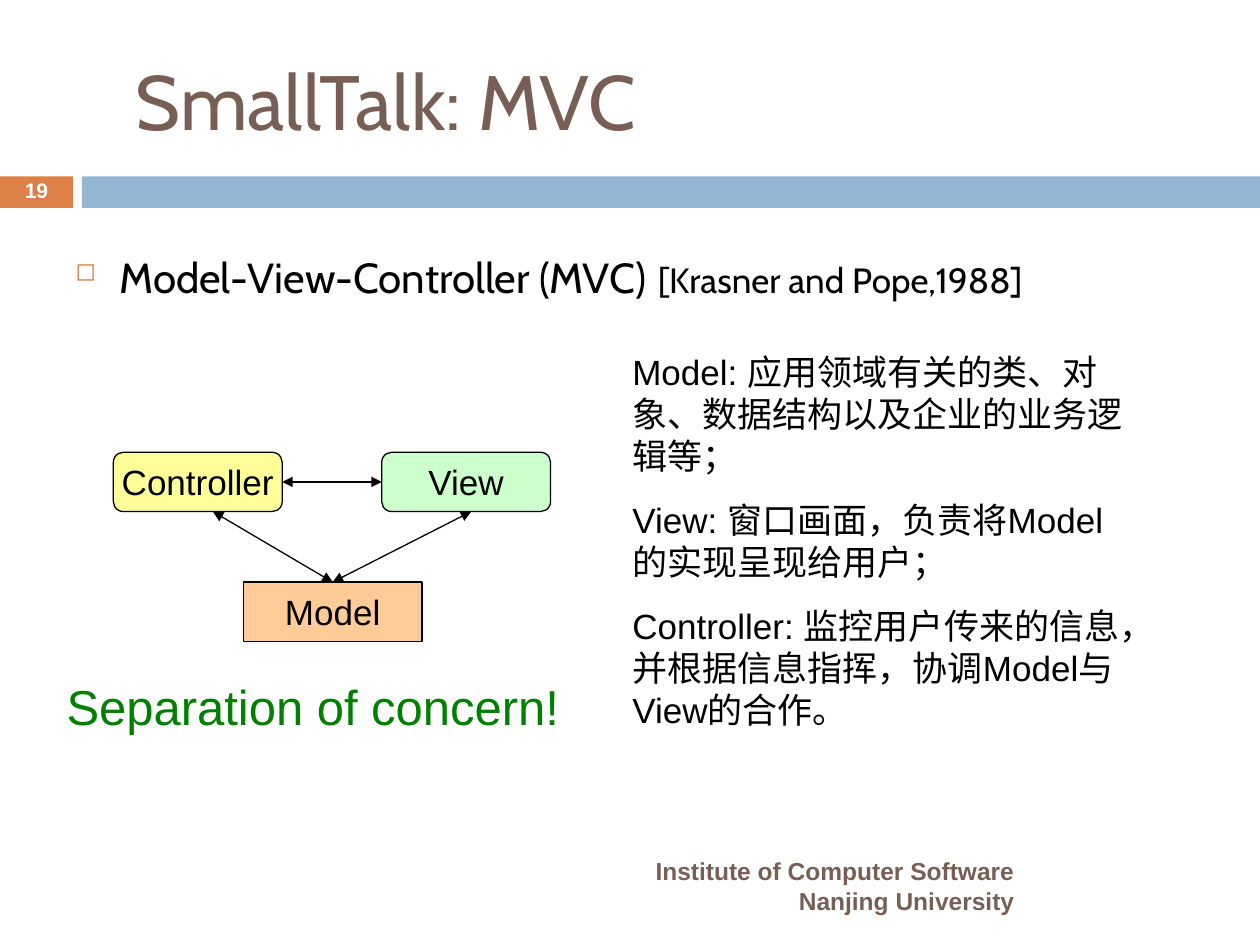
from lxml import etree
from pptx import Presentation
from pptx.dml.color import RGBColor
from pptx.enum.shapes import MSO_CONNECTOR, MSO_SHAPE
from pptx.enum.text import MSO_ANCHOR, PP_ALIGN
from pptx.oxml.ns import qn
from pptx.util import Inches, Pt

RECT, ROUNDED = MSO_SHAPE.RECTANGLE, MSO_SHAPE.ROUNDED_RECTANGLE
STRAIGHT = MSO_CONNECTOR.STRAIGHT
TOP, MIDDLE = MSO_ANCHOR.TOP, MSO_ANCHOR.MIDDLE
LEFT, CENTER, RIGHT = PP_ALIGN.LEFT, PP_ALIGN.CENTER, PP_ALIGN.RIGHT

COLORS = {
    "orange": "DD8047", "blue": "94B6D2", "brown": "775F55",
    "black": "000000", "white": "FFFFFF", "green": "008000",
    "controller": "FFFF99", "view": "CCFFCC", "model": "FFCC99",
}


def rgb(name):
    return RGBColor.from_string(COLORS[name])


class SlideBuilder:
    """Holds the text style and the slide being drawn."""

    heading_font, body_font = "Cabin", "Arial"
    line_width = Pt(0.75)

    def __init__(self, slide):
        self.slide = slide

    def add_run(self, p, text, size, color="black", font=None, bold=False):
        r = p.add_run()
        r.text = text
        r.font.size = Pt(size)
        r.font.name = font or self.body_font
        r.font.bold = bold
        r.font.color.rgb = rgb(color)

    def text(self, box, paragraphs, size, color="black", font=None, bold=False,
             align=LEFT, anchor=TOP, gap=0, spacing=None):
        s = self.slide.shapes.add_textbox(*map(Inches, box))
        tf = s.text_frame
        tf.word_wrap = True
        tf.vertical_anchor = anchor
        for i, line in enumerate(paragraphs):
            p = tf.add_paragraph() if i else tf.paragraphs[0]
            p.alignment = align
            if i and gap:
                p.space_before = Pt(gap)
            if spacing:
                p.line_spacing = spacing
            self.add_run(p, line, size, color, font, bold)

    def bullet(self, box, runs, indent=0.35):
        """Add one bulleted line from (text, size) runs."""
        s = self.slide.shapes.add_textbox(*map(Inches, box))
        s.text_frame.word_wrap = True
        p = s.text_frame.paragraphs[0]
        pPr = p._p.get_or_add_pPr()
        pPr.set("marL", str(Inches(indent)))
        pPr.set("indent", str(-Inches(indent)))
        color = etree.SubElement(pPr, qn("a:buClr"))
        etree.SubElement(color, qn("a:srgbClr"), val=COLORS["orange"])
        etree.SubElement(pPr, qn("a:buSzPct"), val="60000")
        etree.SubElement(pPr, qn("a:buChar"), char="◻")
        for text, size in runs:
            self.add_run(p, text, size, font=self.heading_font)

    def shape(self, kind, box, fill):
        s = self.slide.shapes.add_shape(kind, *map(Inches, box))
        s.shadow.inherit = False
        s.fill.solid()
        s.fill.fore_color.rgb = rgb(fill)
        s.line.fill.background()
        return s

    def node(self, kind, box, label, fill):
        s = self.shape(kind, box, fill)
        s.line.color.rgb = rgb("black")
        s.line.width = self.line_width
        tf = s.text_frame
        tf.word_wrap = False
        tf.vertical_anchor = MIDDLE
        p = tf.paragraphs[0]
        p.alignment = CENTER
        self.add_run(p, label, 20)

    def double_arrow(self, start, end):
        s = self.slide.shapes.add_connector(
            STRAIGHT, *map(Inches, (*start, *end)))
        s.line.color.rgb = rgb("black")
        s.line.width = self.line_width
        ln = s.line._get_or_add_ln()
        for tag in ("a:headEnd", "a:tailEnd"):
            etree.SubElement(ln, qn(tag), type="triangle")
        etree.SubElement(s._element.spPr, qn("a:effectLst"))


def main():
    prs = Presentation()
    prs.slide_width, prs.slide_height = Inches(10), Inches(7.5)
    b = SlideBuilder(prs.slides.add_slide(prs.slide_layouts[6]))

    b.shape(RECT, (0, 1.4, 0.58, 0.25), "orange")
    b.shape(RECT, (0.65, 1.4, 9.35, 0.25), "blue")
    b.text((0.98, 0.25, 8.6, 1.08), ["SmallTalk: MVC"], 44, "brown",
           b.heading_font, anchor=MIDDLE)
    b.bullet((0.5, 1.88, 9, 0.69), [
        ("Model-View-Controller (MVC)", 24),
        (" ", 29),
        ("[Krasner and Pope,1988]", 20),
    ])
    b.text((0.67, 6.83, 7.48, 0.4),
           ["Institute of Computer Software", "Nanjing University"],
           14, "brown", bold=True, align=RIGHT, anchor=MIDDLE)
    b.text((0, 1.39, 0.58, 0.27), ["19"], 12, "white", bold=True,
           align=CENTER, anchor=MIDDLE, spacing=0.8)

    node_w, node_h = 1.34, 0.47
    controller_x, view_x, upper_y = 0.9, 3.03, 3.59
    model_x, model_y, model_w = 1.93, 4.62, 1.42
    b.node(ROUNDED, (controller_x, upper_y, node_w, node_h),
           "Controller", "controller")
    b.node(ROUNDED, (view_x, upper_y, node_w, node_h), "View", "view")
    b.node(RECT, (model_x, model_y, model_w, node_h), "Model", "model")

    middle_y, bottom_y = upper_y + node_h / 2, upper_y + node_h
    model_top = (model_x + model_w / 2, model_y)
    b.double_arrow((controller_x + node_w, middle_y), (view_x, middle_y))
    b.double_arrow((1.69, bottom_y), model_top)
    b.double_arrow(model_top, (3.74, bottom_y))

    b.text((4.92, 2.73, 4.17, 3.12), [
        "Model: 应用领域有关的类、对象、数据结构以及企业的业务逻辑等；",
        "View: 窗口画面，负责将Model的实现呈现给用户；",
        "Controller: 监控用户传来的信息，并根据信息指挥，协调Model与View的合作。",
    ], 20, gap=12.5)
    b.text((0.43, 5.32, 4.25, 0.57), ["Separation of concern!"], 28, "green")

    prs.save("out.pptx")


if __name__ == "__main__":
    main()
